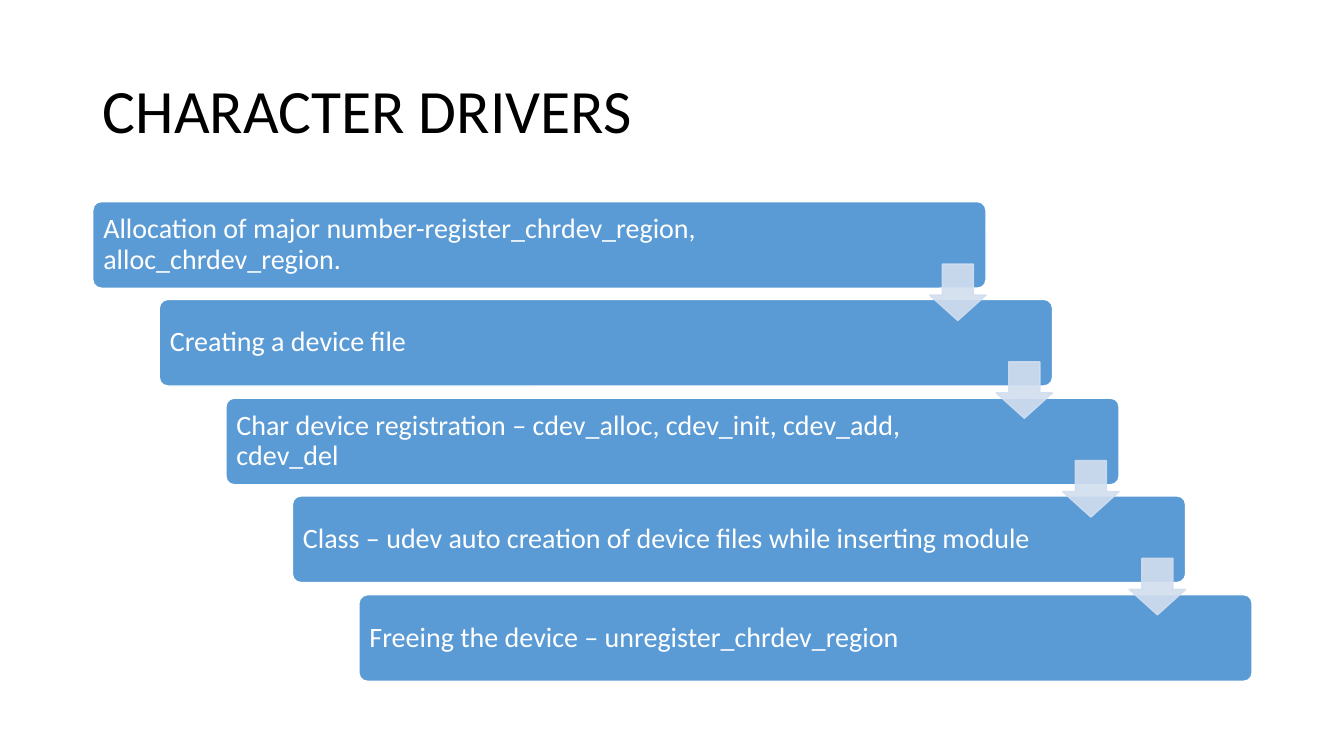
from lxml.etree import SubElement
from pptx import Presentation
from pptx.dml.color import RGBColor
from pptx.enum.shapes import MSO_SHAPE
from pptx.enum.text import MSO_ANCHOR, MSO_AUTO_SIZE, PP_ALIGN
from pptx.oxml.ns import qn
from pptx.util import Pt

EMU_PER_PX = 9144
STEPS = [
    "Allocation of major number-register_chrdev_region, alloc_chrdev_region.",
    "Creating a device file",
    "Char device registration – cdev_alloc, cdev_init, cdev_add, cdev_del",
    "Class – udev auto creation of device files while inserting module",
    "Freeing the device – unregister_chrdev_region",
]


def px(length):
    return length * EMU_PER_PX


def color(value):
    return RGBColor.from_string(value)


class StaircaseSlide:
    """Draws a title, step bars and arrows in one style on one slide."""

    font = "Calibri"
    ink = "000000"
    paper = "FFFFFF"
    bar_fill = "5B9BD5"
    arrow_fill = "D2DEEF"

    def __init__(self, slide):
        self.slide = slide

    def set_text(self, frame, text, size, ink):
        frame.word_wrap = True
        frame.auto_size = MSO_AUTO_SIZE.NONE
        frame.vertical_anchor = MSO_ANCHOR.MIDDLE
        frame.text = text
        paragraph = frame.paragraphs[0]
        paragraph.alignment = PP_ALIGN.LEFT
        paragraph.line_spacing = 0.9
        paragraph.font.name = self.font
        paragraph.font.size = Pt(size)
        paragraph.font.color.rgb = color(ink)

    def title(self, text, left, top, width, height):
        heading = self.slide.shapes.title
        heading.left, heading.top = px(left), px(top)
        heading.width, heading.height = px(width), px(height)
        self.set_text(heading.text_frame, text, 44, self.ink)

    def block(self, preset, left, top, width, height, fill, line, adjustments):
        block = self.slide.shapes.add_shape(preset, px(left), px(top), px(width), px(height))
        block.shadow.inherit = False
        block.fill.solid()
        block.fill.fore_color.rgb = color(fill)
        block.line.color.rgb = color(line)
        block.line.width = Pt(1)
        for index, value in enumerate(adjustments):
            block.adjustments[index] = value
        return block

    def bar(self, text, left, top, width, height):
        bar = self.block(MSO_SHAPE.ROUNDED_RECTANGLE, left, top, width, height,
                         self.bar_fill, self.paper, [0.1])
        frame = bar.text_frame
        frame.margin_left = frame.margin_top = frame.margin_bottom = px(8)
        frame.margin_right = px(130)
        self.set_text(frame, text, 20, self.paper)

    def arrow(self, left, top, side):
        arrow = self.block(MSO_SHAPE.DOWN_ARROW, left, top, side, side,
                           self.arrow_fill, self.arrow_fill, [0.55, 0.45])
        for tint in arrow.element.spPr.iter(qn("a:srgbClr")):
            SubElement(tint, qn("a:alpha"), val="90000")


def main():
    deck = Presentation()
    deck.slide_width, deck.slide_height = px(1333), px(750)
    staircase = StaircaseSlide(deck.slides.add_slide(deck.slide_layouts[5]))
    staircase.title("CHARACTER DRIVERS", 92, 40, 1150, 145)
    corners = [(92 + 66 * i, 200 + 195 * i // 2) for i in range(len(STEPS))]
    for step, (left, top) in zip(STEPS, corners):
        staircase.bar(step, left, top, 886, 86)
    for left, top in corners[:-1]:
        staircase.arrow(left + 830, top + 62, 56)
    deck.save("out.pptx")


if __name__ == "__main__":
    main()
